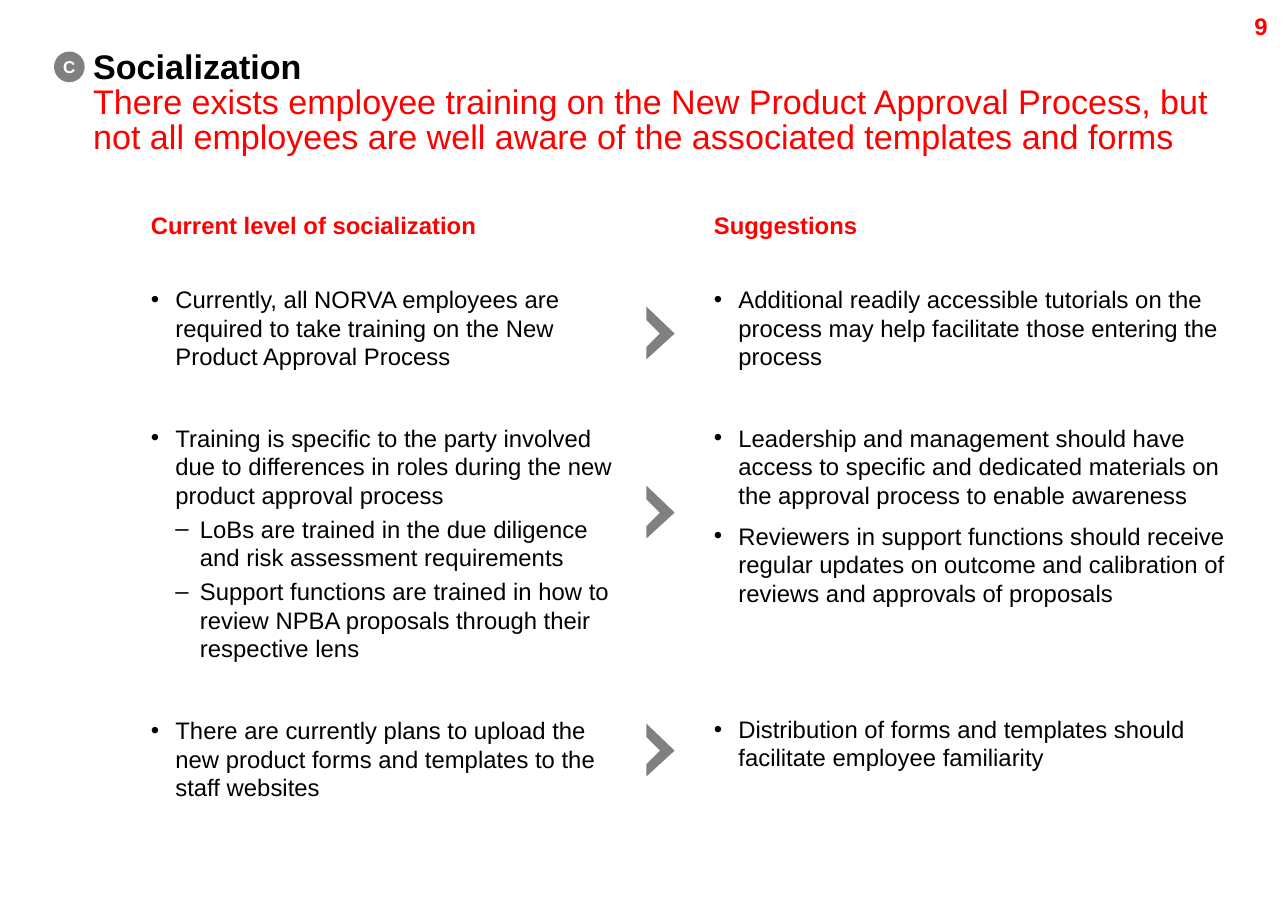
from lxml.etree import SubElement
from pptx import Presentation
from pptx.dml.color import RGBColor
from pptx.enum.shapes import MSO_SHAPE as Shape
from pptx.enum.text import MSO_ANCHOR as Anchor, PP_ALIGN as Align
from pptx.oxml.ns import qn
from pptx.util import Pt

PX = 9144
FONT = "Arial"
RED = RGBColor(0xFF, 0x00, 0x00)
BLACK = RGBColor(0x00, 0x00, 0x00)
GRAY = RGBColor(0x80, 0x80, 0x80)
WHITE = RGBColor(0xFF, 0xFF, 0xFF)

LEFT, RIGHT = 123, 582
HEADING_TOP, LIST_TOP = 175, 232
CHEVRON_LEFT = 527
CHEVRON_TOPS = (250, 396, 590)
CHEVRON_POINTS = ((0, 11), (11, 22), (0, 33), (0, 43), (23, 22))
INDENT = 20
TIGHT = 0.86

CURRENT_LEVEL = (
    ("•", 0, "Currently, all NORVA employees are required to take training on the New Product Approval Process"),
    ("•", 31, "Training is specific to the party involved due to differences in roles during the new product approval process"),
    ("–", 3, "LoBs are trained in the due diligence and risk assessment requirements"),
    ("–", 3, "Support functions are trained in how to review NPBA proposals through their respective lens"),
    ("•", 31, "There are currently plans to upload the new product forms and templates to the staff websites"),
)
SUGGESTIONS = (
    ("•", 0, "Additional readily accessible tutorials on the process may help facilitate those entering the process"),
    ("•", 31, "Leadership and management should have access to specific and dedicated materials on the approval process to enable awareness"),
    ("•", 7, "Reviewers in support functions should receive regular updates on outcome and calibration of reviews and approvals of proposals"),
    ("•", 63, "Distribution of forms and templates should facilitate employee familiarity"),
)


def clear_margins(frame):
    frame.margin_left = frame.margin_top = 0
    frame.margin_right = frame.margin_bottom = 0


def add_box(page, left, top, width, height):
    box = page.shapes.add_textbox(left * PX, top * PX, width * PX, height * PX)
    frame = box.text_frame
    frame.word_wrap = True
    clear_margins(frame)
    return frame


def add_span(para, text, size, color, bold=False):
    span = para.add_run()
    span.text = text
    span.font.name = FONT
    span.font.size = Pt(size)
    span.font.bold = bold
    span.font.color.rgb = color


def add_page_number(page, number):
    frame = add_box(page, 1006, 0, 44, 42)
    frame.vertical_anchor = Anchor.MIDDLE
    para = frame.paragraphs[0]
    para.alignment = Align.CENTER
    add_span(para, number, 14, RED, True)


def add_title(page, topic, message):
    para = add_box(page, 76, 42, 930, 80).paragraphs[0]
    para.line_spacing = TIGHT
    add_span(para, topic, 20, BLACK, True)
    para.add_line_break()
    add_span(para, message, 20, RED)


def add_heading(page, left, width, text):
    para = add_box(page, left, HEADING_TOP, width, 37).paragraphs[0]
    para.line_spacing = TIGHT
    add_span(para, text, 14, RED, True)


def set_bullet(para, mark):
    level = 2 if mark == "–" else 1
    properties = para._p.get_or_add_pPr()
    properties.set("marL", str(level * INDENT * PX))
    properties.set("indent", str(-INDENT * PX))
    SubElement(properties, qn("a:buFont")).set("typeface", FONT)
    SubElement(properties, qn("a:buChar")).set("char", mark)


def add_list(page, left, width, items):
    frame = add_box(page, left, LIST_TOP, width, 439)
    for index, (mark, gap, text) in enumerate(items):
        para = frame.add_paragraph() if index else frame.paragraphs[0]
        set_bullet(para, mark)
        para.space_before = Pt(gap)
        add_span(para, text, 14, BLACK)


def paint(shape):
    shape.shadow.inherit = False
    shape.fill.solid()
    shape.fill.fore_color.rgb = GRAY
    shape.line.fill.background()


def add_chevron(page, top):
    builder = page.shapes.build_freeform(CHEVRON_LEFT, top, scale=PX)
    builder.add_line_segments([(CHEVRON_LEFT + x, top + y) for x, y in CHEVRON_POINTS])
    paint(builder.convert_to_shape())


def add_badge(page, letter):
    badge = page.shapes.add_shape(Shape.OVAL, 44 * PX, 42 * PX, 25 * PX, 25 * PX)
    paint(badge)
    frame = badge.text_frame
    frame.word_wrap = False
    frame.vertical_anchor = Anchor.MIDDLE
    clear_margins(frame)
    para = frame.paragraphs[0]
    para.alignment = Align.CENTER
    add_span(para, letter, 10, WHITE, True)


def main():
    deck = Presentation()
    deck.slide_width, deck.slide_height = 1050 * PX, 750 * PX
    page = deck.slides.add_slide(deck.slide_layouts[6])
    add_page_number(page, "9")
    add_title(
        page,
        "Socialization",
        "There exists employee training on the New Product Approval Process, but not all "
        "employees are well aware of the associated templates and forms",
    )
    for left, width, heading, items in (
        (LEFT, 385, "Current level of socialization", CURRENT_LEVEL),
        (RIGHT, 427, "Suggestions", SUGGESTIONS),
    ):
        add_heading(page, left, width, heading)
        add_list(page, left, width, items)
    for top in CHEVRON_TOPS:
        add_chevron(page, top)
    add_badge(page, "C")
    deck.save("out.pptx")


if __name__ == "__main__":
    main()
